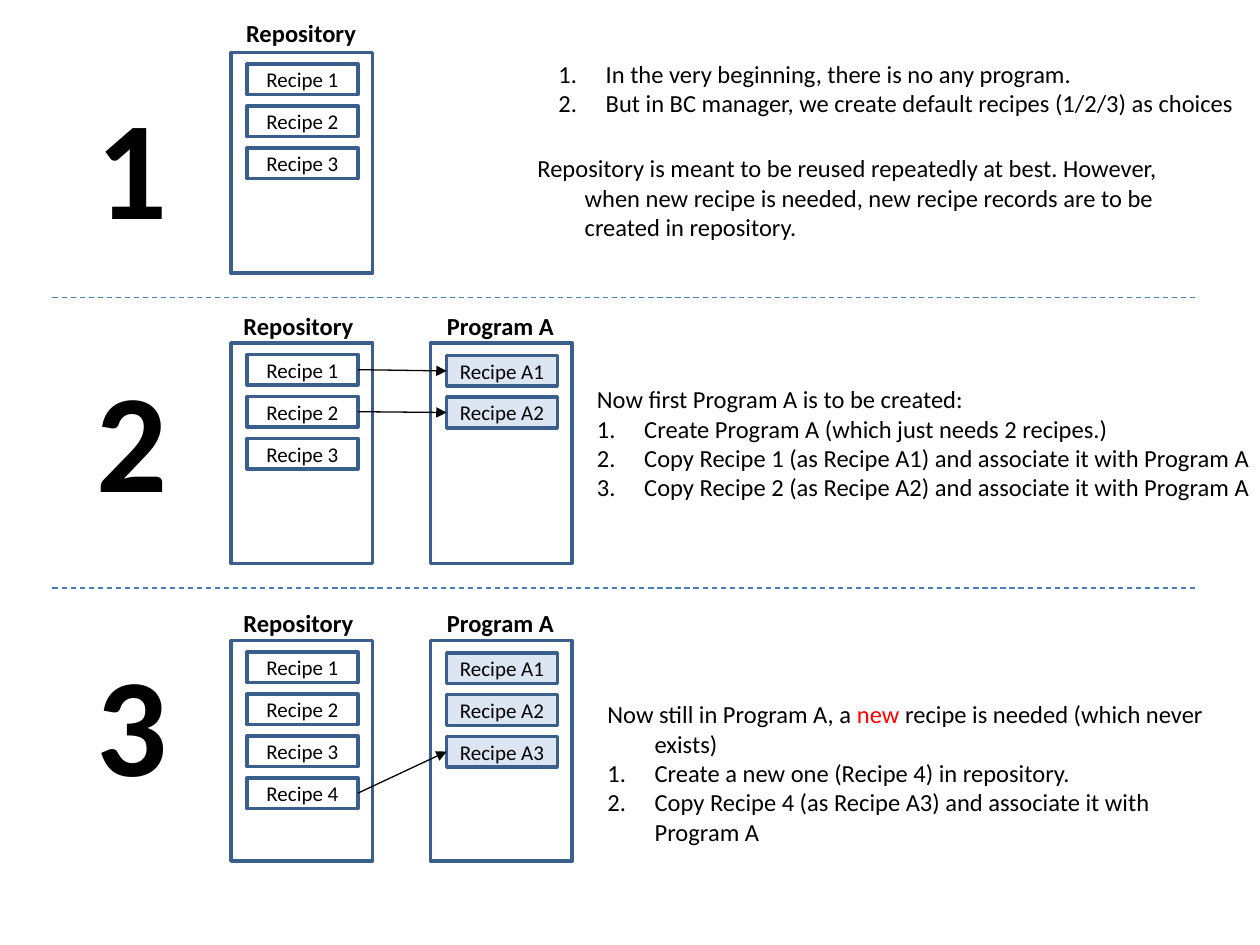
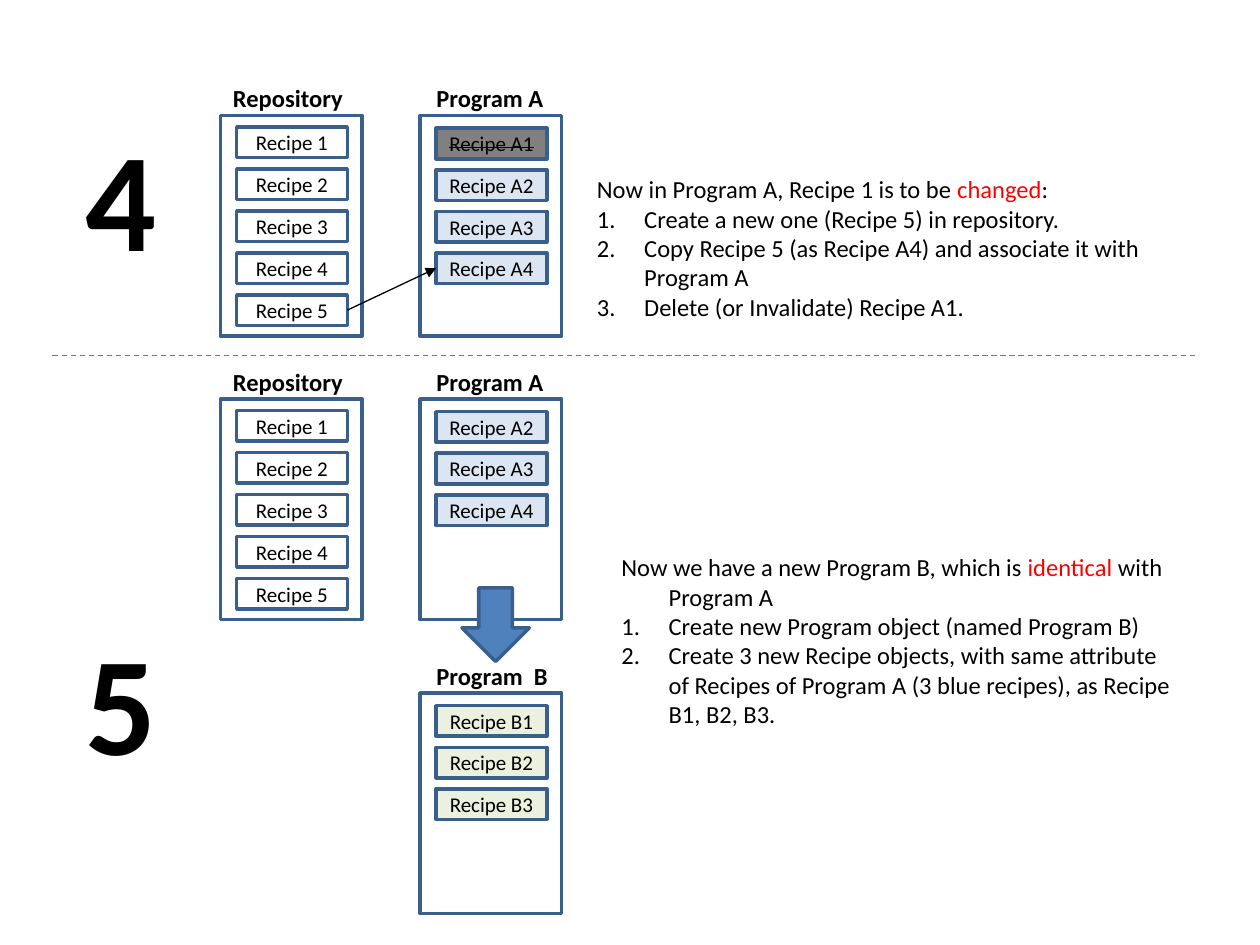
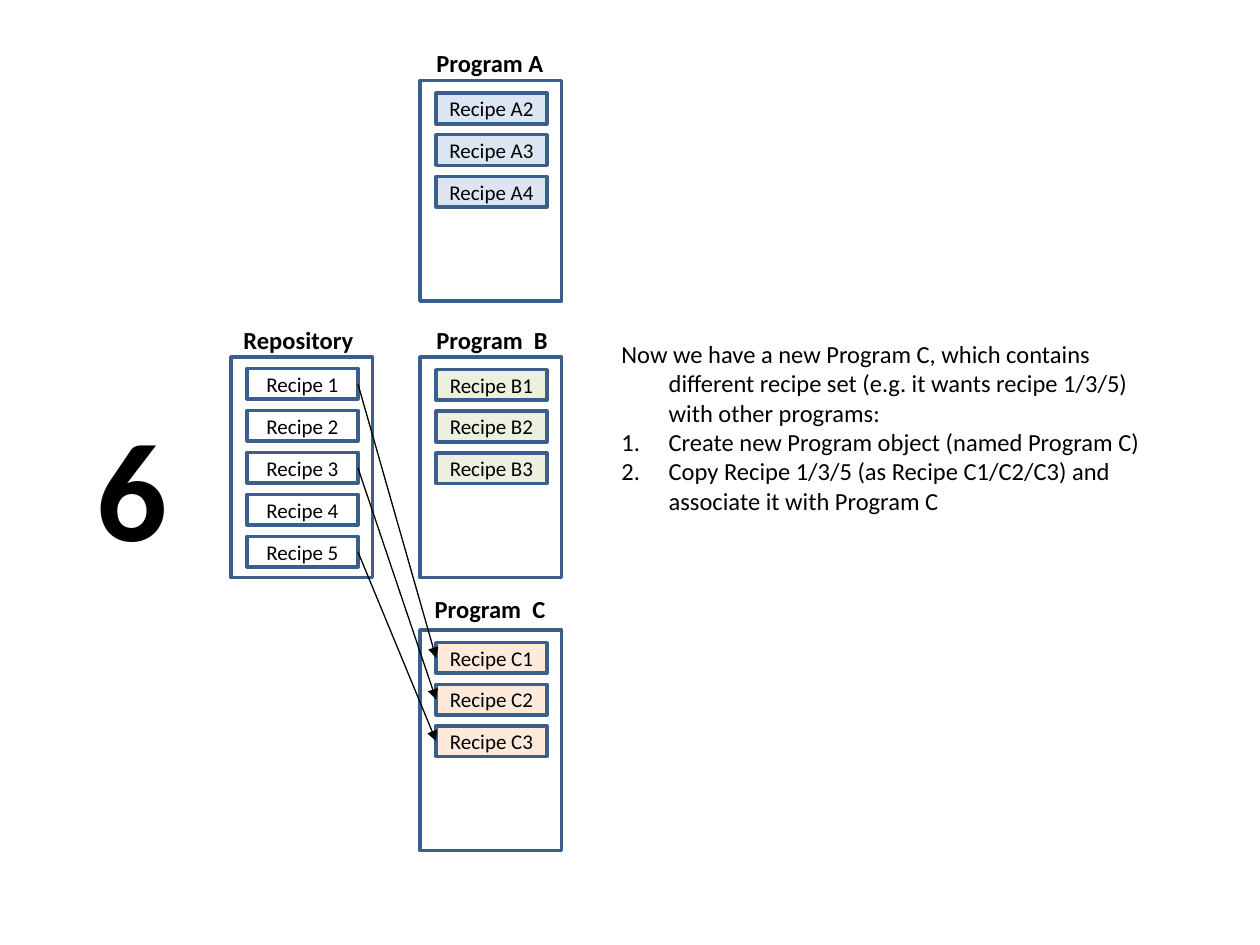
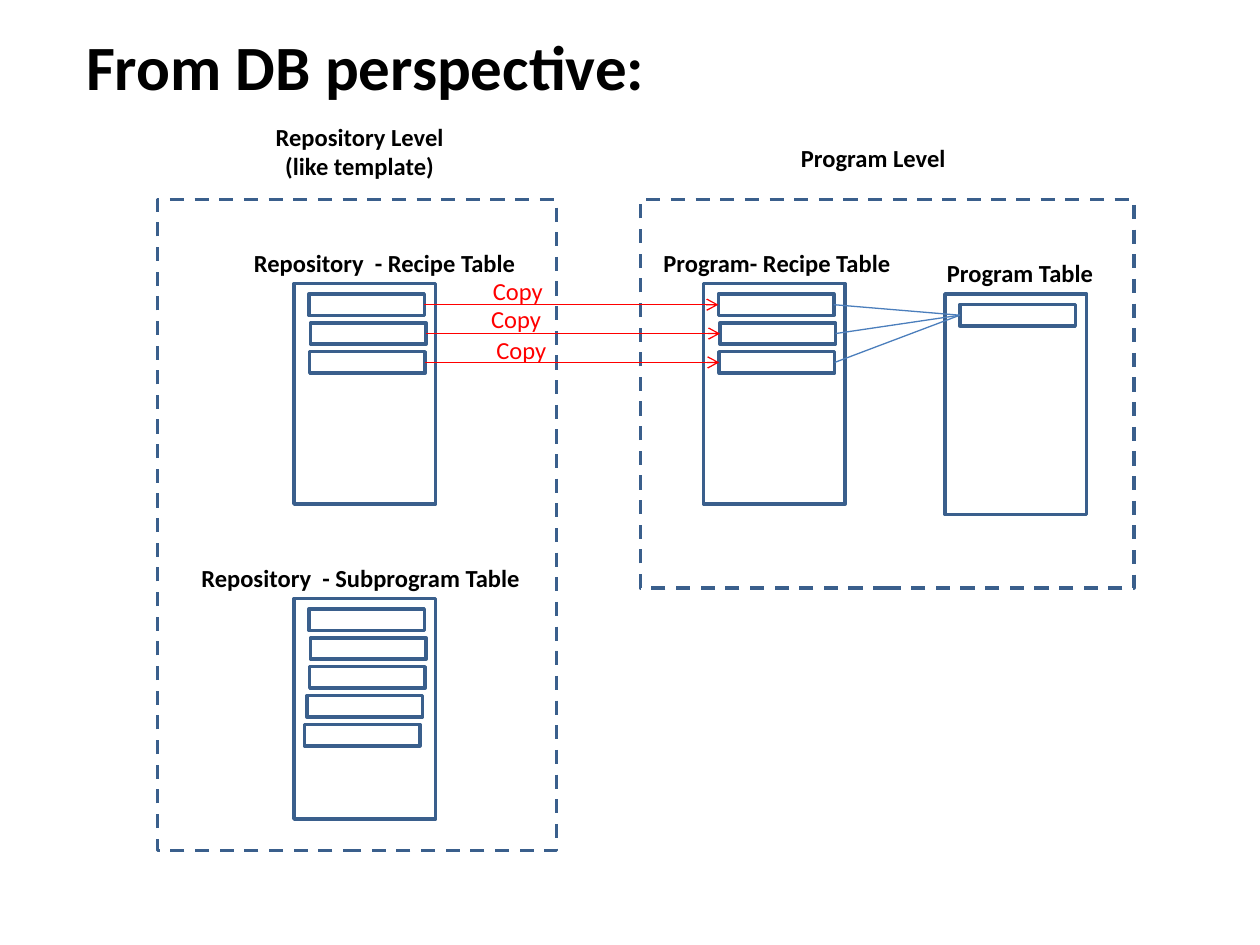
from lxml import etree
from pptx import Presentation
from pptx.dml.color import RGBColor
from pptx.enum.dml import MSO_LINE
from pptx.enum.shapes import MSO_CONNECTOR, MSO_SHAPE
from pptx.enum.text import MSO_ANCHOR, MSO_AUTO_SIZE, PP_ALIGN
from pptx.oxml.ns import qn
from pptx.util import Pt

RECT, DOWN_ARROW = MSO_SHAPE.RECTANGLE, MSO_SHAPE.DOWN_ARROW
STRAIGHT, DASH = MSO_CONNECTOR.STRAIGHT, MSO_LINE.DASH
LEFT, CENTER = PP_ALIGN.LEFT, PP_ALIGN.CENTER
TOP, MIDDLE = MSO_ANCHOR.TOP, MSO_ANCHOR.MIDDLE
GROW, FIXED = MSO_AUTO_SIZE.SHAPE_TO_FIT_TEXT, MSO_AUTO_SIZE.NONE
LEFT_SIDE, RIGHT_SIDE = 1, 3

FONT = "Calibri"
BLACK = RGBColor(0x00, 0x00, 0x00)
WHITE = RGBColor(0xFF, 0xFF, 0xFF)
RED = RGBColor(0xFF, 0x00, 0x00)
GRAY = RGBColor(0x80, 0x80, 0x80)
BORDER = RGBColor(0x3A, 0x5F, 0x8C)
LINE_BLUE = RGBColor(0x4B, 0x7E, 0xBC)
ACCENT = RGBColor(0x4F, 0x81, 0xBD)
BLUE = RGBColor(0xDC, 0xE6, 0xF2)
GREEN = RGBColor(0xEB, 0xF1, 0xDE)
ORANGE = RGBColor(0xFD, 0xEA, 0xDA)

PANEL_W, PANEL_H = 81, 126
LABEL_W = {"Repository": 77.75, "Program A": 76.25, "Program  B": 78.5, "Program  C": 78.5}


def add_box(slide, x, y, w, h, text="", sp=None, kind=None, fill=WHITE, dash=None, size=14,
            bold=False, strike=False, color=BLACK, align=LEFT, wrap=False,
            first_step=None, highlight=None):
    """Add a text box, or a bordered shape if kind is given, or fill the given sp.

    Paragraphs hang when first_step is set, and are numbered from that index on.
    """
    if kind is not None:
        sp = slide.shapes.add_shape(kind, Pt(x), Pt(y), Pt(w), Pt(h))
        sp.shadow.inherit = False
        sp.fill.solid()
        sp.fill.fore_color.rgb = fill
        sp.line.color.rgb = BORDER
        sp.line.width = Pt(2)
        sp.line.dash_style = dash
    elif sp is None:
        sp = slide.shapes.add_textbox(Pt(x), Pt(y), Pt(w), Pt(h))
    else:
        sp.left, sp.top, sp.width, sp.height = Pt(x), Pt(y), Pt(w), Pt(h)
    if not text:
        return sp
    tf = sp.text_frame
    tf.word_wrap = wrap
    tf.auto_size = GROW if kind is None else FIXED
    tf.vertical_anchor = TOP if kind is None else MIDDLE
    for i, line in enumerate(text.split("\n")):
        p = tf.paragraphs[0] if i == 0 else tf.add_paragraph()
        p.alignment = align
        if first_step is not None:
            pPr = p._p.get_or_add_pPr()
            pPr.set("marL", str(Pt(27)))
            pPr.set("indent", str(-Pt(27)))
            if i >= first_step:
                etree.SubElement(pPr, qn("a:buAutoNum"), type="arabicPeriod")
        parts = line.partition(highlight) if highlight and i == 0 else (line,)
        for part in parts:
            r = p.add_run()
            r.text = part
            r.font.name = FONT
            r.font.size = Pt(size)
            r.font.bold = bold
            r.font.color.rgb = RED if part == highlight else color
            if strike:
                r._r.get_or_add_rPr().set("strike", "sngStrike")
    return sp


def add_line(slide, color, points=(0, 0, 0, 0), ends=None, dash=None, head=None):
    """Draw a line between points, or from the right of one shape to the left of another."""
    line = slide.shapes.add_connector(STRAIGHT, *[Pt(v) for v in points])
    if ends:
        line.begin_connect(ends[0], RIGHT_SIDE)
        line.end_connect(ends[1], LEFT_SIDE)
    line.line.color.rgb = color
    line.line.width = Pt(0.75)
    line.line.dash_style = dash
    if head:
        etree.SubElement(line.line._get_or_add_ln(), qn("a:tailEnd"), type=head)
    etree.SubElement(line._element.spPr, qn("a:effectLst"))


prs = Presentation()
prs.slide_width, prs.slide_height = Pt(720), Pt(540)
title_only, blank = prs.slide_layouts[5], prs.slide_layouts[6]

# Steps 1 to 6
# panels: x, y, label, label offset, row fill, row names, copies (from, to)
# notes: x, y, width, height, wrap, first numbered paragraph, red word, text
STEP_SLIDES = [
    {
        "numbers": [("1", 48, 42), ("2", 48, 198), ("3", 48, 360)],
        "dividers": [170, 336],
        "panels": [
            (132, 30, "Repository", (1.5, -23), WHITE, "123", []),
            (132, 196, "Repository", (0, -22), WHITE, "123", []),
            (246, 196, "Program A", (2.25, -22), BLUE, ["A1", "A2"], [("1", "A1"), ("2", "A2")]),
            (132, 366, "Repository", (0, -22), WHITE, "1234", []),
            (246, 366, "Program A", (2.25, -22), BLUE, ["A1", "A2", "A3"], [("4", "A3")]),
        ],
        "notes": [
            (312, 30, 403, 58, False, 0, None,
             "In the very beginning, there is no any program.\n"
             "But in BC manager, we create default recipes (1/2/3) as choices"),
            (300, 84, 384, 58, True, 1, None,
             "Repository is meant to be reused repeatedly at best. However, when new recipe "
             "is needed, new recipe records are to be created in repository."),
            (334, 216, 394, 92, False, 1, None,
             "Now first Program A is to be created:\n"
             "Create Program A (which just needs 2 recipes.)\n"
             "Copy Recipe 1 (as Recipe A1) and associate it with Program A\n"
             "Copy Recipe 2 (as Recipe A2) and associate it with Program A"),
            (340, 396, 362, 92, True, 1, "new",
             "Now still in Program A, a new recipe is needed (which never exists)\n"
             "Create a new one (Recipe 4) in repository.\n"
             "Copy Recipe 4 (as Recipe A3) and associate it with Program A"),
        ],
    },
    {
        "numbers": [("4", 42, 60), ("5", 42, 348)],
        "dividers": [203],
        "panels": [
            (126, 66, "Repository", (0, -22), WHITE, "12345", []),
            (240, 66, "Program A", (2.25, -22), BLUE, ["A1", "A2", "A3", "A4"], [("5", "A4")]),
            (126, 228, "Repository", (0, -22), WHITE, "12345", []),
            (240, 228, "Program A", (2.25, -22), BLUE, ["A2", "A3", "A4"], []),
            (240, 396, "Program  B", (2.25, -22), GREEN, ["B1", "B2", "B3"], []),
        ],
        "notes": [
            (334, 96, 362, 92, True, 1, "changed",
             "Now in Program A, Recipe 1 is to be changed:\n"
             "Create a new one (Recipe 5) in repository.\n"
             "Copy Recipe 5 (as Recipe A4) and associate it with Program A\n"
             "Delete (or Invalidate) Recipe A1."),
            (348, 312, 330, 109, True, 1, "identical",
             "Now we have a new Program B, which is identical with Program A\n"
             "Create new Program object (named Program B)\n"
             "Create 3 new Recipe objects, with same attribute of Recipes of Program A "
             "(3 blue recipes), as Recipe B1, B2, B3."),
        ],
    },
    {
        "numbers": [("6", 48, 226)],
        "dividers": [],
        "panels": [
            (132, 204, "Repository", (0, -22), WHITE, "12345", []),
            (240, 46, "Program A", (2.25, -22), BLUE, ["A2", "A3", "A4"], []),
            (240, 204, "Program  B", (2.25, -22), GREEN, ["B1", "B2", "B3"], []),
            (240, 360, "Program  C", (1.25, -24), ORANGE, ["C1", "C2", "C3"],
             [("1", "C1"), ("3", "C2"), ("5", "C3")]),
        ],
        "notes": [
            (348, 190, 330, 109, True, 1, None,
             "Now we have a new Program C, which contains different recipe set "
             "(e.g. it wants recipe 1/3/5) with other programs:\n"
             "Create new Program object (named Program C)\n"
             "Copy Recipe 1/3/5 (as Recipe C1/C2/C3) and associate it with Program C"),
        ],
    },
]

for step_slide in STEP_SLIDES:
    slide = prs.slides.add_slide(blank)
    recipes = {}
    for x, y, label, (dx, dy), fill, names, copies in step_slide["panels"]:
        add_box(slide, x, y, PANEL_W, PANEL_H, kind=RECT)
        add_box(slide, x + dx, y + dy, LABEL_W[label], 24.25, label, bold=True)
        first, pitch = (6.5, 24) if label == "Repository" else (7.25, 23.75)
        for i, name in enumerate(names):
            deleted = name == "A1" and "A4" in names
            recipes[name] = add_box(slide, x + 9.25, y + first + i * pitch, 63.25, 17.5,
                                    f"Recipe {name}", kind=RECT, fill=GRAY if deleted else fill,
                                    size=12, strike=deleted, align=CENTER)
        for source, target in copies:
            add_line(slide, BLACK, ends=(recipes[source], recipes[target]), head="triangle")
    for number, x, y in step_slide["numbers"]:
        add_box(slide, x, y, 55.5, 104.25, number, size=80, bold=True)
    for y in step_slide["dividers"]:
        add_line(slide, LINE_BLUE, points=(30, y, 684, y), dash=DASH)
    for x, y, w, h, wrap, first_step, highlight, text in step_slide["notes"]:
        add_box(slide, x, y, w, h, text, wrap=wrap, first_step=first_step, highlight=highlight)

add_box(prs.slides[1], 264, 336, 38.5, 42, kind=DOWN_ARROW, fill=ACCENT)

# Database view
slide = prs.slides.add_slide(title_only)
add_box(slide, 42, 12, 337, 51, "From DB perspective:", sp=slide.shapes.title, size=36, bold=True)

LEVELS = [
    (90, 114, 228, 372, "Repository Level\n(like template)", 150, 66, 111, 41),
    (366, 114, 282, 222, "Program Level", 450, 78, 98, 24.25),
]
for x, y, w, h, label, label_x, label_y, label_w, label_h in LEVELS:
    add_box(slide, x, y, w, h, kind=RECT, dash=DASH)
    add_box(slide, label_x, label_y, label_w, label_h, label, bold=True, align=CENTER)

# x, y, label, label x, label y, label width, row offsets from the left
TABLES = [
    (168, 162, "Repository  - Recipe Table", 138, 138, 165, [8.5, 9.5, 9]),
    (402, 162, "Program- Recipe Table", 372, 138, 145, [8.5, 9.5, 9]),
    (540, 168, "Program Table", 534, 144, 98.5, [8.5]),
    (168, 342, "Repository  - Subprogram Table", 108, 318, 197, [8.5, 9.5, 9, 7.5, 6]),
]
records = []
for x, y, label, label_x, label_y, label_w, offsets in TABLES:
    add_box(slide, x, y, PANEL_W, PANEL_H, kind=RECT)
    add_box(slide, label_x, label_y, label_w, 24.25, label, bold=True)
    records.append([add_box(slide, x + dx, y + 6 + i * 16.5, 66, 12.25, kind=RECT)
                    for i, dx in enumerate(offsets)])

repository_rows, program_rows, (program,), _ = records
for source, copied in zip(repository_rows, program_rows):
    add_line(slide, RED, ends=(source, copied), head="arrow")
    add_line(slide, LINE_BLUE, ends=(copied, program))
for x, y in [(274.5, 154), (273.5, 170), (276.5, 188)]:
    add_box(slide, x, y, 43, 24.25, "Copy", color=RED)

prs.save("out.pptx")
